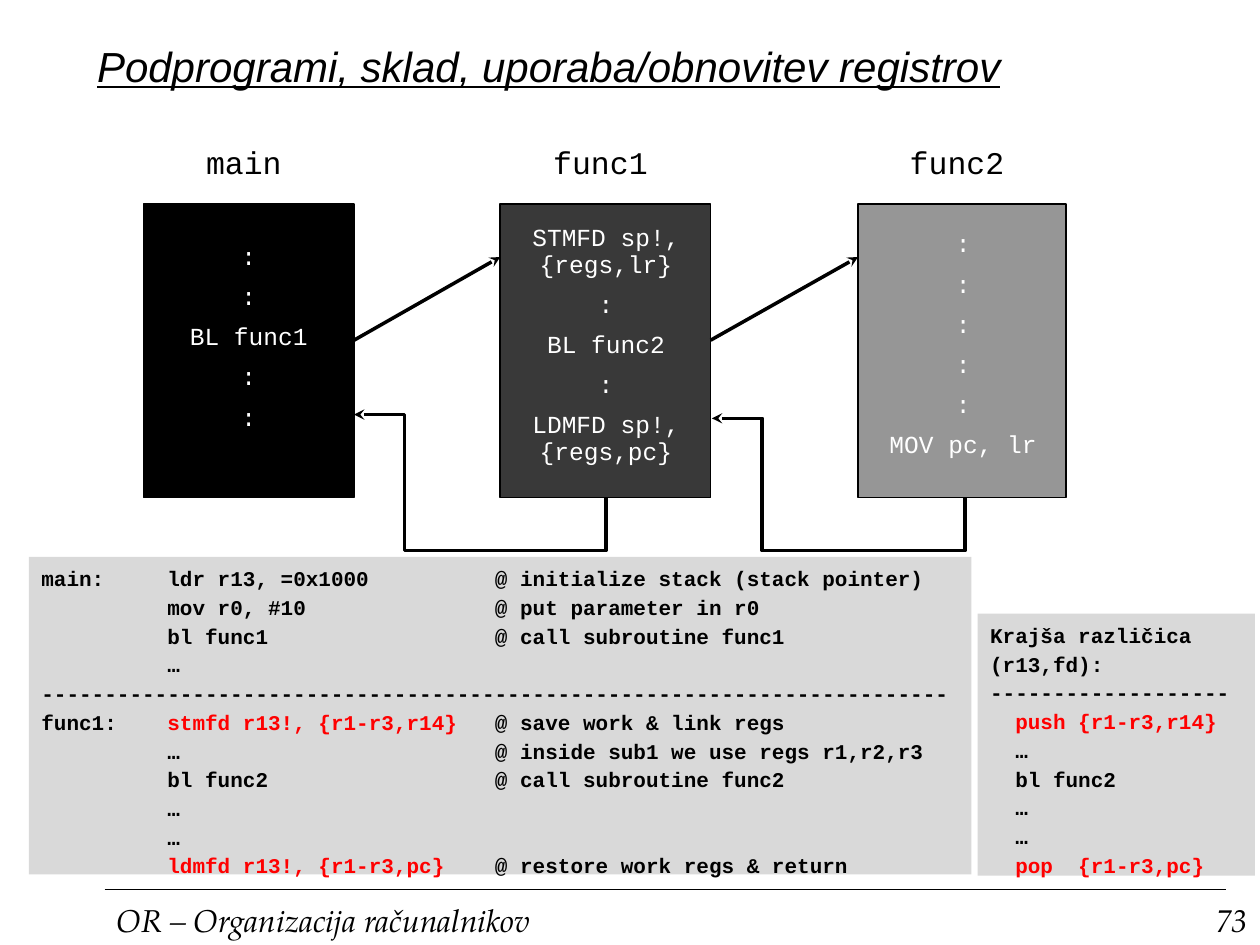
from lxml import etree
from pptx import Presentation
from pptx.dml.color import RGBColor
from pptx.enum.shapes import MSO_CONNECTOR, MSO_SHAPE
from pptx.enum.text import MSO_ANCHOR, PP_ALIGN
from pptx.oxml.ns import qn
from pptx.util import Inches, Pt

LEFT, CENTER, RIGHT = PP_ALIGN.LEFT, PP_ALIGN.CENTER, PP_ALIGN.RIGHT
MIDDLE = MSO_ANCHOR.MIDDLE
TOP = MSO_ANCHOR.TOP
RECTANGLE = MSO_SHAPE.RECTANGLE
STRAIGHT = MSO_CONNECTOR.STRAIGHT

BLACK = RGBColor(0x00, 0x00, 0x00)
WHITE = RGBColor(0xFF, 0xFF, 0xFF)
RED = RGBColor(0xFF, 0x00, 0x00)
DARK_GRAY = RGBColor(0x39, 0x39, 0x39)
MID_GRAY = RGBColor(0x96, 0x96, 0x96)
LIGHT_GRAY = RGBColor(0xD9, 0xD9, 0xD9)
MONO = "Courier New"
SERIF = "TeX Gyre Pagella"


def write(shape, lines, font=MONO, size=14, color=BLACK, bold=False, italic=False,
          underline=False, align=LEFT, anchor=TOP, wrap=True, spacing=1.0,
          before=0, tabs=()):
    """Write one paragraph per line; parts between bars are red."""
    frame = shape.text_frame
    frame.word_wrap = wrap
    frame.vertical_anchor = anchor
    for index, line in enumerate(lines):
        para = frame.add_paragraph() if index else frame.paragraphs[0]
        if tabs:
            tab_list = etree.SubElement(para._p.get_or_add_pPr(), qn("a:tabLst"))
            for stop in tabs:
                etree.SubElement(tab_list, qn("a:tab"), pos=str(Inches(stop)), algn="l")
        para.alignment = align
        para.line_spacing = spacing
        para.space_before = Pt(before if index else 0)
        for number, part in enumerate(line.split("|")):
            if not part:
                continue
            span = para.add_run()
            span.text = part
            span.font.name = font
            span.font.size = Pt(size)
            span.font.bold = bold
            span.font.italic = italic
            span.font.underline = underline
            span.font.color.rgb = RED if number % 2 else color


def style_line(shape, width, arrow=True):
    """Give a line its colour, width and arrowhead, and no shadow."""
    shape.line.color.rgb = BLACK
    shape.line.width = Pt(width)
    properties = shape._element.spPr
    if arrow:
        etree.SubElement(properties.find(qn("a:ln")), qn("a:tailEnd"), type="stealth")
    etree.SubElement(properties, qn("a:effectLst"))


deck = Presentation()
deck.slide_width, deck.slide_height = Inches(10), Inches(7.5)
page = deck.slides.add_slide(deck.slide_layouts[5])
shapes = page.shapes

# Title
title = shapes.title
title.left, title.top = Inches(0.67), Inches(0.21)
title.width, title.height = Inches(8.9), Inches(0.62)
write(title, ["Podprogrami, sklad, uporaba/obnovitev registrov"], font="Arial",
      size=24, italic=True, underline=True, anchor=MIDDLE)

# Footer
footer_line = shapes.add_connector(STRAIGHT, Inches(0.83), Inches(7.06),
                                   Inches(9.73), Inches(7.06))
style_line(footer_line, 1, arrow=False)
for text, left, width, align in [
    ("OR – Organizacija računalnikov", 0.83, 3.66, LEFT),
    ("73", 8.67, 1.33, RIGHT),
]:
    box = shapes.add_textbox(Inches(left), Inches(7.1), Inches(width), Inches(0.4))
    write(box, [text], font=SERIF, size=18, italic=True, align=align, wrap=False)

# Code listings: label, instruction and comment columns set by tabs
MAIN_CODE = [
    "main:\tldr r13, =0x1000\t@ initialize stack (stack pointer)",
    "\tmov r0, #10\t@ put parameter in r0",
    "\tbl func1\t@ call subroutine func1",
    "\t…",
    "-" * 72,
    "func1:\t|stmfd r13!, {r1-r3,r14}|\t@ save work & link regs",
    "\t…\t@ inside sub1 we use regs r1,r2,r3",
    "\tbl func2\t@ call subroutine func2",
    "\t…",
    "\t…",
    "\t|ldmfd r13!, {r1-r3,pc}|\t@ restore work regs & return",
]
SHORT_CODE = [
    "Krajša različica",
    "(r13,fd):",
    "-" * 19,
    "  |push {r1-r3,r14}|",
    "  …",
    "  bl func2",
    "  …",
    "  …",
    "  |pop  {r1-r3,pc}|",
]
for lines, left, top, width, height, tabs in [
    (MAIN_CODE, 0.23, 4.42, 7.48, 2.52, (1, 3.6)),
    (SHORT_CODE, 7.76, 4.87, 2.2, 2.08, ()),
]:
    listing = shapes.add_shape(RECTANGLE, Inches(left), Inches(top),
                               Inches(width), Inches(height))
    listing.shadow.inherit = False
    listing.fill.solid()
    listing.fill.fore_color.rgb = LIGHT_GRAY
    listing.line.fill.background()
    listing.text_frame.margin_top = Inches(0.07)
    write(listing, lines, size=12, bold=True, before=2, tabs=tabs)

# Routines: block, name above it and body text on it
for name, name_left, left, width, fill, body_left, body_top, body_width, body in [
    ("main", 1.31, 1.14, 1.67, BLACK, 1.14, 1.89, 1.67,
     [":", ":", "BL func1", ":", ":"]),
    ("func1", 4.14, 3.97, 1.67, DARK_GRAY, 3.85, 1.74, 1.92,
     ["STMFD sp!,{regs,lr}", ":", "BL func2", ":", "LDMFD sp!,{regs,pc}"]),
    ("func2", 6.97, 6.81, 1.65, MID_GRAY, 6.81, 1.79, 1.67,
     [":", ":", ":", ":", ":", "MOV pc, lr"]),
]:
    block = shapes.add_shape(RECTANGLE, Inches(left), Inches(1.62),
                             Inches(width), Inches(2.33))
    block.shadow.inherit = False
    block.fill.solid()
    block.fill.fore_color.rgb = fill
    block.line.color.rgb = BLACK
    block.line.width = Pt(1)
    label = shapes.add_textbox(Inches(name_left), Inches(1.12), Inches(1.25), Inches(0.38))
    write(label, [name], size=18, align=CENTER, spacing=0.9)
    body_box = shapes.add_textbox(Inches(body_left), Inches(body_top),
                                  Inches(body_width), Inches(2))
    write(body_box, body, color=WHITE, align=CENTER, spacing=0.9, before=7.8)

# Call arrows
for start, end in [(2.81, 3.97), (5.64, 6.81)]:
    call = shapes.add_connector(STRAIGHT, Inches(start), Inches(2.7),
                                Inches(end), Inches(2.04))
    style_line(call, 2)

# Return arrows
for start, bend, end, end_y in [(4.81, 3.21, 2.81, 3.29), (7.66, 6.05, 5.65, 3.32)]:
    builder = shapes.build_freeform(Inches(start), Inches(3.95))
    corners = [(start, 4.37), (bend, 4.37), (bend, end_y), (end, end_y)]
    builder.add_line_segments([(Inches(x), Inches(y)) for x, y in corners], close=False)
    return_path = builder.convert_to_shape()
    return_path.fill.background()
    style_line(return_path, 2)

deck.save("out.pptx")
